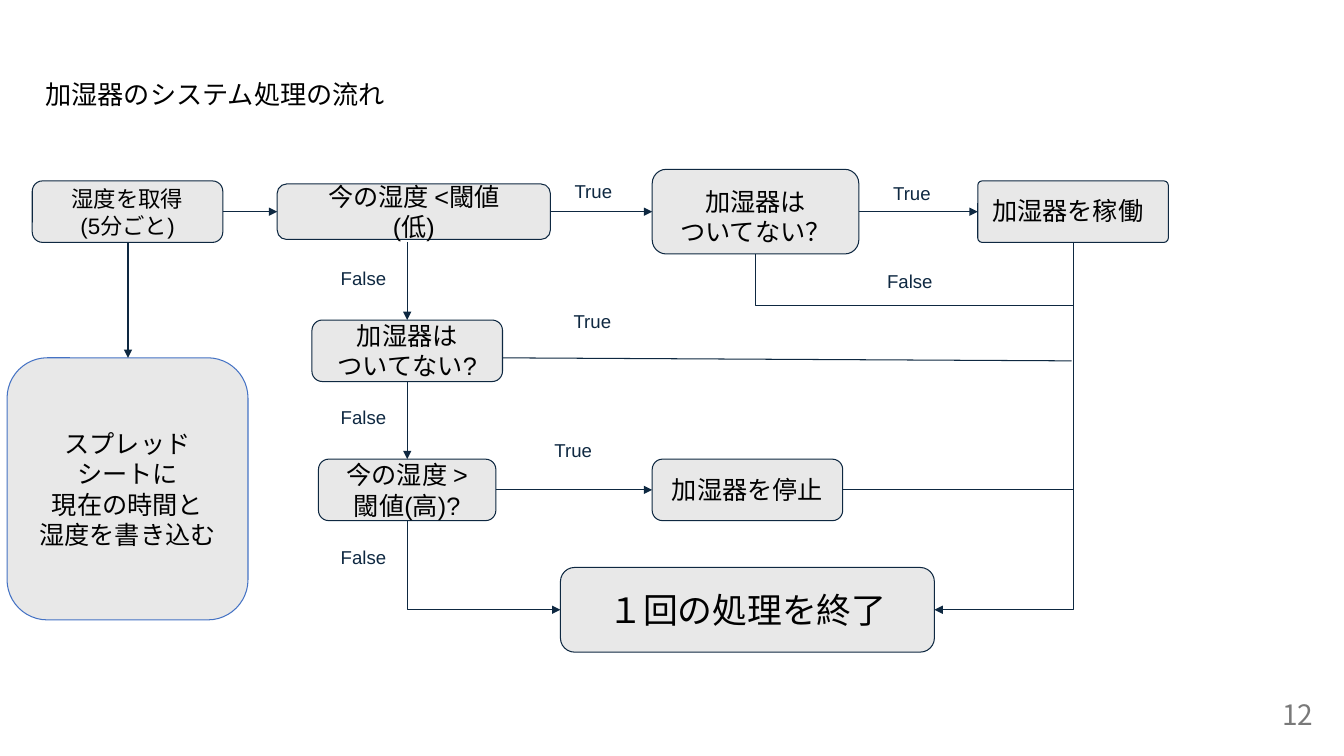
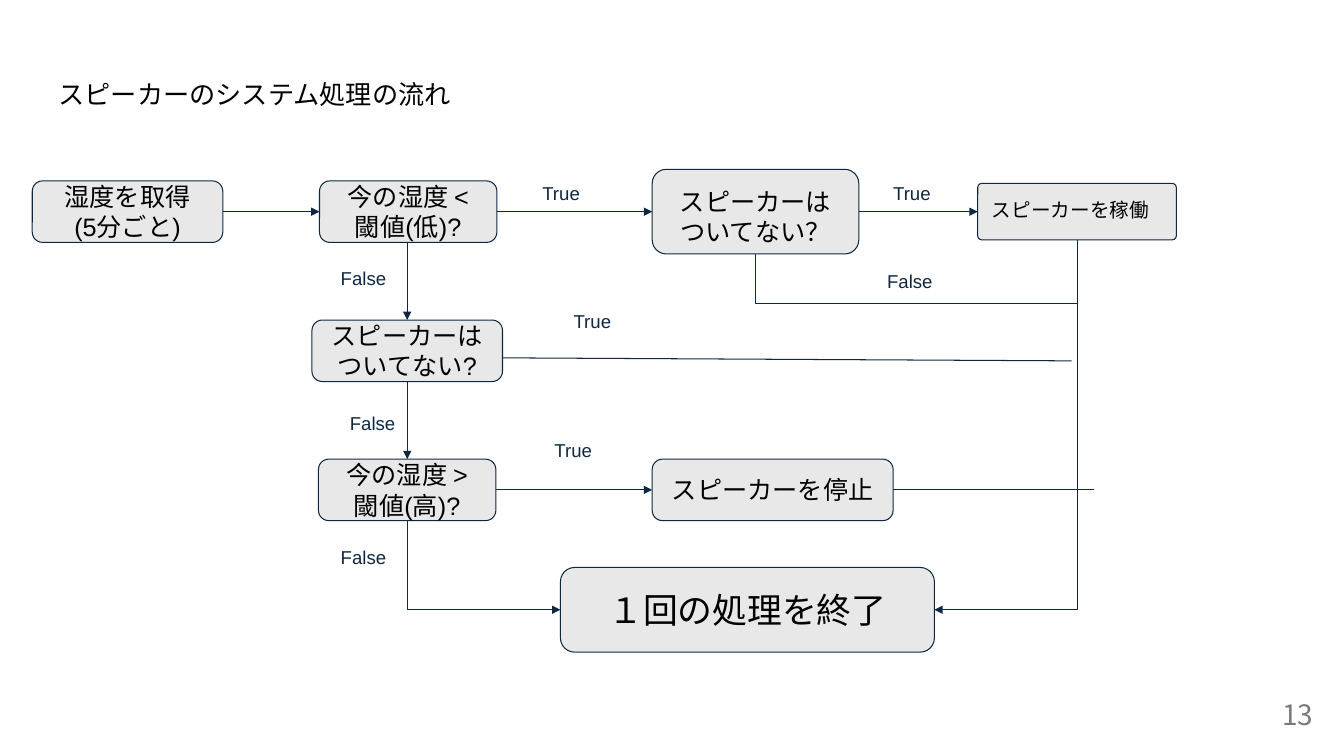
from dataclasses import dataclass

from lxml import etree
from pptx import Presentation
from pptx.dml.color import RGBColor
from pptx.enum.shapes import MSO_CONNECTOR, MSO_SHAPE
from pptx.enum.text import MSO_ANCHOR, PP_ALIGN
from pptx.oxml.ns import qn
from pptx.util import Inches, Pt

ROUNDED = MSO_SHAPE.ROUNDED_RECTANGLE
STRAIGHT = MSO_CONNECTOR.STRAIGHT
TOP, MIDDLE = MSO_ANCHOR.TOP, MSO_ANCHOR.MIDDLE
LEFT, CENTER, RIGHT = PP_ALIGN.LEFT, PP_ALIGN.CENTER, PP_ALIGN.RIGHT


@dataclass(frozen=True)
class Theme:
    font: str = "Arial"
    number_font: str = "Noto Sans CJK JP"
    text: str = "000000"
    outline: str = "0E2841"
    sheet_outline: str = "4472C4"
    fill: str = "E8E8E8"
    number: str = "797979"
    title_size: float = 18.7
    node_size: float = 18
    compact_size: float = 16
    small_size: float = 14
    end_size: float = 24.9
    label_size: float = 13.3
    number_size: float = 20
    line_width: float = 0.75


THEME = Theme()

# The grid has square cells of a tenth of an inch.
GRID_COLS, GRID_ROWS = 133.33, 75
START, CHECK, ACTION, RUN = 3.2, 40.4, 64.7, 97
ROW_PITCH = 13.8
ROW_1, ROW_2, ROW_3 = (21 + ROW_PITCH * i for i in range(3))
ROW_END = 60.5
NODE_W, NODE_H = 18.9, 6.1
CHECK_W = 17.6
QUERY_W, QUERY_H = 20.5, 8.4
END_LEFT, END_W = 55.6, 37.1


def cells(n):
    return Inches(n / 10)


def rgb(value):
    return RGBColor.from_string(value)


def write(sp, text, size=THEME.node_size, color=THEME.text, font=THEME.font,
          align=LEFT, anchor=TOP, inset=1.3, wrap=True):
    """Fill a shape; a newline starts a paragraph, a vertical tab breaks a line."""
    tf = sp.text_frame
    tf.word_wrap = wrap
    tf.vertical_anchor = anchor
    tf.margin_left = tf.margin_right = cells(inset)
    tf.margin_top = tf.margin_bottom = cells(inset)
    for i, line in enumerate(text.split("\n")):
        p = tf.add_paragraph() if i else tf.paragraphs[0]
        p.text = line
        p.alignment = align
        for r in p.runs:
            r.font.name = font
            r.font.size = Pt(size)
            r.font.color.rgb = rgb(color)


class FlowDeck:
    def __init__(self):
        self.prs = Presentation()
        self.prs.slide_width = cells(GRID_COLS)
        self.prs.slide_height = cells(GRID_ROWS)
        self.s = None

    def new_slide(self, title, title_left, number):
        self.s = self.prs.slides.add_slide(self.prs.slide_layouts[6])
        self.text(title, title_left, 6.5, 124.2, 8.4, size=THEME.title_size)
        self.text(number, 123.7, 68, 7.6, 5.7, size=THEME.number_size,
                  color=THEME.number, font=THEME.number_font,
                  align=RIGHT, anchor=MIDDLE, inset=1)

    def text(self, text, x, y, w, h, **style):
        sp = self.s.shapes.add_textbox(*map(cells, (x, y, w, h)))
        write(sp, text, **style)

    def label(self, text, x, y):
        width = 6.5 if text == "True" else 7.9
        self.text(text, x, y, width, 4.9, size=THEME.label_size,
                  color=THEME.outline, wrap=False)

    def node(self, text, left, row, w=NODE_W, h=NODE_H, line=THEME.outline,
             radius=0.167, align=CENTER, anchor=MIDDLE, **style):
        """Draw a rounded box centred vertically on a row."""
        sp = self.s.shapes.add_shape(
            ROUNDED, *map(cells, (left, row - h / 2, w, h)))
        sp.shadow.inherit = False
        sp.adjustments[0] = radius
        sp.fill.solid()
        sp.fill.fore_color.rgb = rgb(THEME.fill)
        sp.line.color.rgb = rgb(line)
        sp.line.width = Pt(THEME.line_width)
        write(sp, text, align=align, anchor=anchor, **style)

    def line(self, x1, y1, x2, y2, arrow=None):
        """Draw a line; arrow is None, "headEnd" (start) or "tailEnd" (end)."""
        sp = self.s.shapes.add_connector(
            STRAIGHT, *map(cells, (x1, y1, x2, y2)))
        sp.line.color.rgb = rgb(THEME.outline)
        sp.line.width = Pt(THEME.line_width)
        if arrow:
            etree.SubElement(sp.line._get_or_add_ln(), qn("a:" + arrow),
                             type="triangle")
        etree.SubElement(sp._element.spPr, qn("a:effectLst"))
        return sp

    def arrow(self, x1, y1, x2, y2):
        self.line(x1, y1, x2, y2, arrow="tailEnd")

    def elbow(self, x1, y1, x2, y2, arrow=None):
        """Draw a line that runs horizontally first, then vertically."""
        sp = self.line(x1, y1, x2, y2, arrow)
        sp._element.spPr.find(qn("a:prstGeom")).set("prst", "bentConnector2")


def draw_flow(deck, device, start_size, check, check_left, check_w, check_h,
              first_true, second_false, run_w, run_h, run_size,
              stop_w, stop_end, skip_row):
    bus = RUN + run_w / 2
    query = f"{device}は\nついてない"
    query_left = CHECK - NODE_W / 2
    high_left = CHECK - CHECK_W / 2
    query_mid = ACTION + QUERY_W / 2

    deck.node("湿度を取得\n(5分ごと)", START, ROW_1, size=start_size)
    deck.node(check, check_left, ROW_1, check_w, check_h)
    deck.node(query + "？", ACTION, ROW_1, QUERY_W, QUERY_H, anchor=TOP)
    deck.node(f"{device}を稼働", RUN, ROW_1, run_w, run_h, size=run_size,
              radius=0.071, align=LEFT, anchor=TOP)
    deck.node(query + "?", query_left, ROW_2)
    deck.node("今の湿度 >\v閾値(高)?", high_left, ROW_3, CHECK_W)
    deck.node(f"{device}を停止", ACTION, ROW_3, stop_w)
    deck.node("１回の処理を終了", END_LEFT, ROW_END, END_W, QUERY_H,
              size=THEME.end_size)

    for x1, x2, row in ((START + NODE_W, check_left, ROW_1),
                        (check_left + check_w, ACTION, ROW_1),
                        (ACTION + QUERY_W, RUN, ROW_1),
                        (high_left + CHECK_W, ACTION, ROW_3)):
        deck.arrow(x1, row, x2, row)
    for row in (ROW_1, ROW_2):
        deck.arrow(CHECK, row + NODE_H / 2, CHECK, row + ROW_PITCH - NODE_H / 2)

    deck.line(query_left + NODE_W, 35.5, 106.3, 35.8)
    deck.line(ACTION + stop_w, ROW_3, stop_end, ROW_3)
    deck.elbow(bus, skip_row, query_mid, ROW_1 + QUERY_H / 2)
    deck.elbow(END_LEFT, ROW_END, CHECK, ROW_3 + NODE_H / 2, arrow="headEnd")
    deck.elbow(END_LEFT + END_W, ROW_END, bus, ROW_1 + run_h / 2,
               arrow="headEnd")

    for text, x, y in (("True", *first_true), ("True", 87.3, 16.9),
                       ("True", 55.6, 29.6), ("True", 53.7, 42.4),
                       ("False", 32.5, 25.4), ("False", *second_false),
                       ("False", 32.5, 53), ("False", 86.7, 25.7)):
        deck.label(text, x, y)


def draw_spreadsheet(deck):
    top, height = 35.5, 26
    deck.node("スプレッド\nシートに\n現在の時間と\n湿度を書き込む", 0.7,
              top + height / 2, 23.9, height, line=THEME.sheet_outline)
    deck.arrow(12.7, ROW_1 + NODE_H / 2, 12.7, top)


def main():
    deck = FlowDeck()

    deck.new_slide("加湿器のシステム処理の流れ", 3.2, "12")
    draw_flow(deck, "加湿器", start_size=THEME.compact_size,
              check="今の湿度 <閾値\v(低)", check_left=27.5, check_w=27.1,
              check_h=5.5, first_true=(55.7, 16.7), second_false=(32.5, 39.2),
              run_w=NODE_W, run_h=NODE_H, run_size=THEME.node_size,
              stop_w=NODE_W, stop_end=106.4, skip_row=30.3)
    draw_spreadsheet(deck)

    deck.new_slide("スピーカーのシステム処理の流れ", 4.5, "13")
    draw_flow(deck, "スピーカー", start_size=THEME.node_size,
              check="今の湿度 <\v閾値(低)?", check_left=31.7, check_w=CHECK_W,
              check_h=NODE_H, first_true=(52.5, 16.9), second_false=(33.4, 39.7),
              run_w=19.7, run_h=5.6, run_size=THEME.small_size,
              stop_w=23.9, stop_end=108.5, skip_row=30.1)

    deck.prs.save("out.pptx")


if __name__ == "__main__":
    main()
